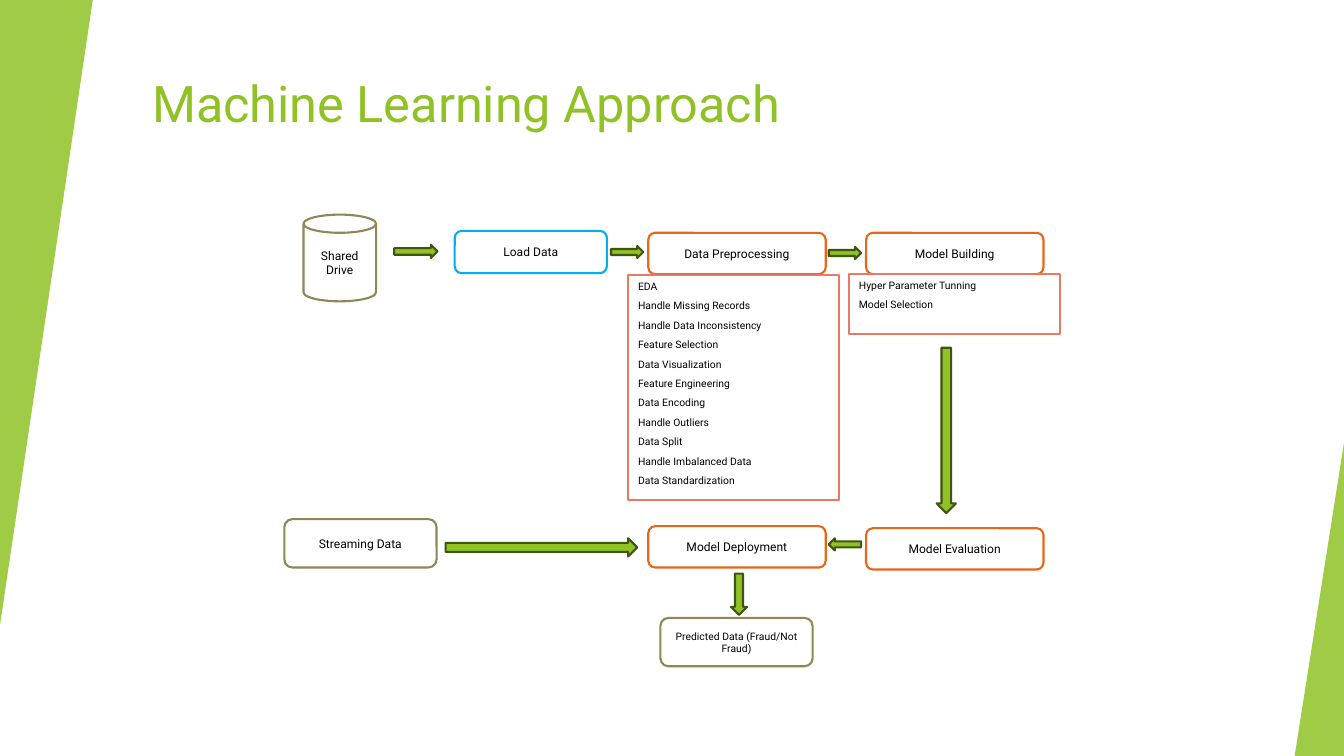
"""Build a slide that shows a machine learning flow."""
import pptx
import pptx.dml.color
import pptx.enum.shapes
import pptx.enum.text
import pptx.oxml
import pptx.oxml.ns
import pptx.util
from dataclasses import dataclass

KIND = pptx.enum.shapes.MSO_SHAPE
ALIGN = pptx.enum.text.PP_ALIGN
ANCHOR = pptx.enum.text.MSO_ANCHOR
WIDE, HIGH = 13.33, 7.5
COLS, ROWS = 133.3, 75


@dataclass(frozen=True)
class Theme:
    """Colours and type sizes of the slide."""
    face: str = "Roboto"
    green: str = "90C226"
    moss: str = "3F5511"
    white: str = "FFFFFF"
    black: str = "000000"
    olive: str = "918655"
    blue: str = "00B0F0"
    orange: str = "E76618"
    coral: str = "EB7766"
    head: float = 36
    label: float = 8.6
    small: float = 7.4
    line: float = 1.5
    gap: float = 5


THEME = Theme()


def tint(text):
    """Turn a hex string into a colour."""
    return pptx.dml.color.RGBColor.from_string(text)


def apply(item, form):
    """Set each attribute in a dict of format values."""
    for name, value in form.items():
        setattr(item, name, value)


def place(box, part):
    """Turn a part's grid cells, counted from its box, into lengths."""
    left, top, wide, high = part
    cells = box[0] + left, box[1] + top, wide, high
    units = WIDE / COLS, HIGH / ROWS
    return [pptx.util.Inches(n * units[i % 2]) for i, n in enumerate(cells)]


def draw(slide, kind, box, part, fill, edge=None):
    """Add a flat preset shape."""
    shape = slide.shapes.add_shape(kind, *place(box, part))
    shape.shadow.inherit = False
    shape.fill.solid()
    shape.fill.fore_color.rgb = tint(fill)
    if edge:
        shape.line.color.rgb = tint(edge)
        shape.line.width = pptx.util.Pt(THEME.line)
    else:
        shape.line.fill.background()
    return shape


def write(shape, lines, size, color=THEME.black, align=ALIGN.CENTER,
          anchor=ANCHOR.MIDDLE, gap=THEME.gap):
    """Fill a shape with one paragraph a line."""
    frame = shape.text_frame
    apply(frame, {"word_wrap": True, "vertical_anchor": anchor})
    frame.text = "\n".join(lines)
    for para in frame.paragraphs:
        apply(para, {"alignment": align, "space_after": pptx.util.Pt(gap)})
        for run in para.runs:
            apply(run.font, {"name": THEME.face, "size": pptx.util.Pt(size)})
            run.font.color.rgb = tint(color)


def wedge(slide, box, turn=0):
    """Fill a box with a sheer green right triangle."""
    shape = draw(slide, KIND.ISOSCELES_TRIANGLE, box, (0, 0, *box[2:]), THEME.green)
    shape.adjustments[0] = 1
    shape.rotation = turn
    space = pptx.oxml.ns.nsdecls("a")
    alpha = pptx.oxml.parse_xml(f'<a:alpha {space} val="85000"/>')
    name = pptx.oxml.ns.qn("a:srgbClr")
    next(shape.fill._xPr.iter(name)).append(alpha)


def title(slide, box, text):
    """Write the heading at the top of its box."""
    shape = slide.shapes.add_textbox(*place(box, (0, 0, *box[2:])))
    write(shape, [text], THEME.head, THEME.green, ALIGN.LEFT, ANCHOR.TOP, 0)


def nodes(slide, box):
    """Place the labelled steps of the flow."""
    step, side = (17.6, 4.1), (15.1, 4.8)
    mid, right = 36.1, 57.7
    card = KIND.ROUNDED_RECTANGLE
    for text, kind, part, edge, size in (
        ("Shared Drive", KIND.CAN, (1.9, 0, 7.2, 8.6), THEME.olive, THEME.label),
        ("Load Data", card, (16.9, 1.6, 15.1, 4.2), THEME.blue, THEME.label),
        ("Data Preprocessing", card, (mid, 1.8, *step), THEME.orange, THEME.label),
        ("Model Building", card, (right, 1.8, *step), THEME.orange, THEME.label),
        ("Model Evaluation", card, (right, 31.1, *step), THEME.orange, THEME.label),
        ("Model Deployment", card, (mid, 30.9, *step), THEME.orange, THEME.label),
        ("Streaming Data", card, (0, 30.2, *side), THEME.olive, THEME.label),
        ("Predicted Data (Fraud/Not Fraud)", card, (37.3, 40, *side),
         THEME.olive, THEME.small),
    ):
        write(draw(slide, kind, box, part, THEME.white, edge), [text], size)


def lists(slide, box):
    """Place the task lists under their steps."""
    prep = ("EDA", "Handle Missing Records", "Handle Data Inconsistency",
            "Feature Selection", "Data Visualization", "Feature Engineering",
            "Data Encoding", "Handle Outliers", "Data Split",
            "Handle Imbalanced Data", "Data Standardization")
    build = ("Hyper Parameter Tunning", "Model Selection")
    for lines, part in ((prep, (34.1, 6, 20.9, 22.3)),
                        (build, (56, 5.9, 20.9, 5.9))):
        shape = draw(slide, KIND.RECTANGLE, box, part, THEME.white, THEME.coral)
        write(shape, lines, THEME.small, align=ALIGN.LEFT, anchor=ANCHOR.TOP)


def arrows(slide, box):
    """Place the block arrows between the steps."""
    short = 3.2, 1.2
    for kind, part in (
        (KIND.RIGHT_ARROW, (10.9, 3, 4.3, 1.3)),
        (KIND.RIGHT_ARROW, (32.4, 3.1, *short)),
        (KIND.RIGHT_ARROW, (54, 3.2, *short)),
        (KIND.DOWN_ARROW, (64.7, 13.2, 1.9, 16.4)),
        (KIND.LEFT_ARROW, (54, 32.1, *short)),
        (KIND.RIGHT_ARROW, (16, 32.1, 19, 1.8)),
        (KIND.DOWN_ARROW, (44.3, 35.6, 1.6, 4.1)),
    ):
        draw(slide, kind, box, part, THEME.green, THEME.moss)


def main():
    """Build and save the slide."""
    deck = pptx.Presentation()
    apply(deck, {"slide_width": pptx.util.Inches(WIDE),
                 "slide_height": pptx.util.Inches(HIGH)})
    slide = deck.slides.add_slide(deck.slide_layouts[6])
    title(slide, (14.1, 6.7, 111.5, 12), "Machine Learning Approach")
    wedge(slide, (0, 0, 9.2, 62), 180)
    wedge(slide, (COLS - 4.9, ROWS - 31.1, 4.9, 31.1))
    flow = 28.2, 21.3, 76.9, 44.8
    for part in (nodes, lists, arrows):
        part(slide, flow)
    deck.save("out.pptx")


if __name__ == "__main__":
    main()
